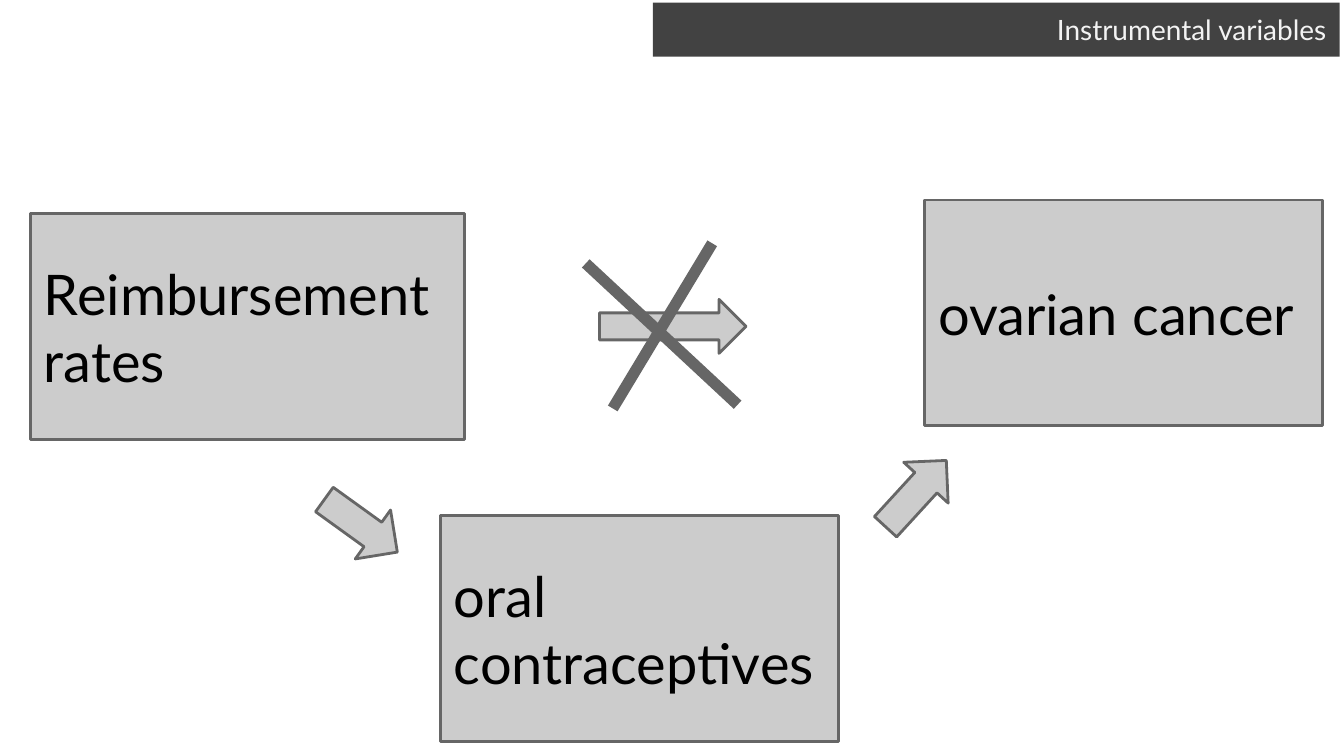
from lxml import etree
from pptx import Presentation
from pptx.dml.color import RGBColor
from pptx.enum.shapes import MSO_CONNECTOR, MSO_SHAPE
from pptx.enum.text import MSO_ANCHOR, MSO_AUTO_SIZE, PP_ALIGN
from pptx.oxml.ns import qn
from pptx.util import Cm, Pt

RECT, ARROW = MSO_SHAPE.RECTANGLE, MSO_SHAPE.RIGHT_ARROW
STRAIGHT = MSO_CONNECTOR.STRAIGHT
MIDDLE, NO_FIT = MSO_ANCHOR.MIDDLE, MSO_AUTO_SIZE.NONE
LEFT, RIGHT = PP_ALIGN.LEFT, PP_ALIGN.RIGHT

COLORS = {"bar": "000000", "title": "F3F3F3", "box": "CCCCCC",
          "edge": "666666", "text": "000000"}
FRAME = {"word_wrap": True, "auto_size": NO_FIT, "vertical_anchor": MIDDLE,
         "margin_left": Cm(0.25), "margin_right": Cm(0.25),
         "margin_top": Cm(0.25), "margin_bottom": Cm(0.25)}

# Left, top, width, height in cm
TITLE_BOX = (12.34, 0.05, 12.98, 1.02)
CONCEPTS = [("oral contraceptives", (8.33, 9.75, 7.52, 4.27)),
            ("ovarian cancer", (17.48, 3.78, 7.52, 4.27)),
            ("Reimbursement rates", (0.58, 4.04, 8.2, 4.27))]
ARROWS = [((16.46, 8.76, 1.7, 1.14), 312.5),
          ((5.97, 9.37, 1.7, 1.14), 35.8),
          ((11.33, 5.66, 2.77, 1.02), 0)]
CROSS_BOX = (11.07, 4.6, 2.87, 3.12)


def rgb(name):
    return RGBColor.from_string(COLORS[name])


def set_text(sp, text, size, color, align):
    tf = sp.text_frame
    for name, value in FRAME.items():
        setattr(tf, name, value)
    p = tf.paragraphs[0]
    p.alignment = align
    r = p.add_run()
    r.text = text
    for name, value in {"name": "Lato", "size": Pt(size), "bold": False}.items():
        setattr(r.font, name, value)
    r.font.color.rgb = rgb(color)


def add_title(s, box, text):
    sp = s.shapes.title
    sp.left, sp.top, sp.width, sp.height = map(Cm, box)
    sp.fill.solid()
    sp.fill.fore_color.rgb = rgb("bar")
    color = sp.fill._xPr.find(qn("a:solidFill"))[0]
    etree.SubElement(color, qn("a:alpha"), val="74000")
    set_text(sp, text, 15, "title", RIGHT)


def add_gray_shape(s, kind, box):
    sp = s.shapes.add_shape(kind, *map(Cm, box))
    sp.shadow.inherit = False
    sp.fill.solid()
    sp.fill.fore_color.rgb = rgb("box")
    sp.line.color.rgb = rgb("edge")
    sp.line.width = Pt(1.5)
    return sp


def add_concept(s, box, text):
    set_text(add_gray_shape(s, RECT, box), text, 30, "text", LEFT)


def add_arrow(s, box, rotation):
    add_gray_shape(s, ARROW, box).rotation = rotation


def add_cross(s, box):
    x, y, w, h = box
    strokes = [(x, y + 0.38, x + w, y + 3.05),
               (x + 0.51, y + h, x + 2.39, y)]
    for stroke in strokes:
        line = s.shapes.add_connector(STRAIGHT, *map(Cm, stroke))
        line.line.color.rgb = rgb("edge")
        line.line.width = Pt(6)
        etree.SubElement(line._element.spPr, qn("a:effectLst"))


def main():
    prs = Presentation()
    prs.slide_width, prs.slide_height = Cm(25.4), Cm(14.29)
    s = prs.slides.add_slide(prs.slide_layouts[5])

    # Title bar
    add_title(s, TITLE_BOX, "Instrumental variables")

    # Concepts and the causal paths between them
    for text, box in CONCEPTS:
        add_concept(s, box, text)
    for box, rotation in ARROWS:
        add_arrow(s, box, rotation)

    # The direct path is ruled out
    add_cross(s, CROSS_BOX)
    prs.save("out.pptx")


if __name__ == "__main__":
    main()
